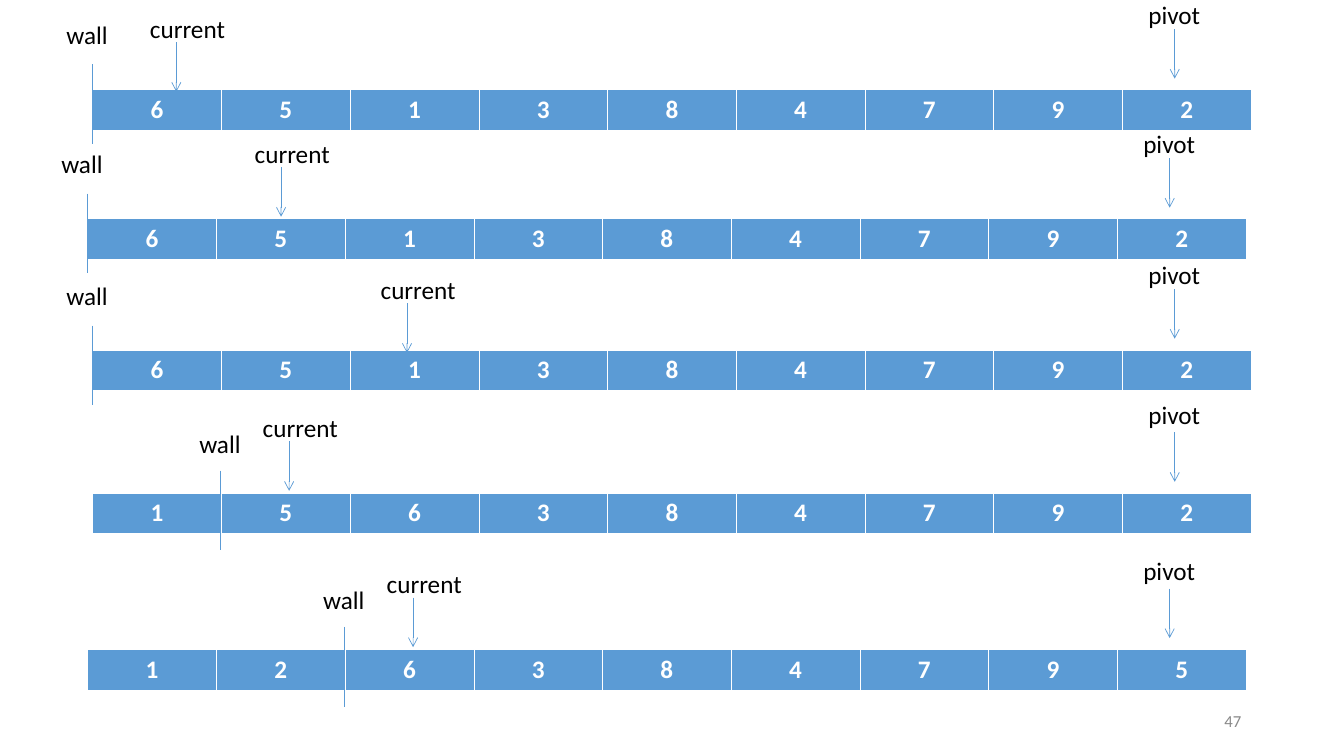
from dataclasses import dataclass

from lxml import etree
from pptx import Presentation
from pptx.dml.color import RGBColor
from pptx.enum import shapes, text
from pptx.oxml import ns
from pptx.util import Inches, Pt


@dataclass(frozen=True)
class Theme:
    font: str = "Calibri"
    blue: RGBColor = RGBColor(0x5B, 0x9B, 0xD5)
    white: RGBColor = RGBColor(0xFF, 0xFF, 0xFF)
    black: RGBColor = RGBColor(0, 0, 0)
    grey: RGBColor = RGBColor(0x89, 0x89, 0x89)
    body_size: int = 18
    number_size: int = 12
    line_width: float = 0.5
    thin_border: float = 0.45
    thick_border: float = 1.47


@dataclass(frozen=True)
class Step:
    digits: str
    array: tuple
    pivot_top: float
    wall_line: tuple
    wall_label: tuple
    current_label: tuple


THEME = Theme()
ARRAY_WIDTH, ARRAY_HEIGHT = 11.5, 0.41
LABEL_HEIGHT = 0.4
LABEL_WIDTHS = {"pivot": 0.76, "wall": 0.62, "current": 0.97}
ARROW_LENGTH = 0.49
ARROW_INSET = 0.36
CURRENT_ARROW_DROP = 0.34
PIVOT_SHIFT = 10.38
PIVOT_ARROW_RISE = 0.6
WALL_LENGTH = 0.79

STEPS = [
    Step("651384792", (0.92, 0.89), -0.06, (0.92, 0.64), (0.56, 0.14), (1.39, 0.08)),
    Step("651384792", (0.87, 2.17), 1.22, (0.87, 1.92), (0.51, 1.42), (2.43, 1.32)),
    Step("651384792", (0.92, 3.47), 2.52, (0.92, 3.23), (0.56, 2.73), (3.68, 2.67)),
    Step("156384792", (0.92, 4.89), 3.91, (2.19, 4.67), (1.88, 4.2), (2.51, 4.04)),
    Step("126384795", (0.87, 6.44), 5.46, (3.42, 6.22), (3.11, 5.75), (3.74, 5.59)),
]


def set_format(target, **formats):
    for attribute, value in formats.items():
        setattr(target, attribute, value)


def format_text(paragraph, content, color, size=THEME.body_size, bold=False, align=None):
    paragraph.text = content
    paragraph.alignment = align
    set_format(paragraph.font, name=THEME.font, size=Pt(size), bold=bold)
    paragraph.font.color.rgb = color


def add_label(slide, content, left, top):
    label = slide.shapes.add_textbox(
        Inches(left), Inches(top),
        Inches(LABEL_WIDTHS[content]), Inches(LABEL_HEIGHT))
    set_format(label.text_frame, word_wrap=False,
               auto_size=text.MSO_AUTO_SIZE.SHAPE_TO_FIT_TEXT)
    format_text(label.text_frame.paragraphs[0], content, THEME.black)


def add_vertical_line(slide, x, top, length, arrow=False):
    line = slide.shapes.add_connector(
        shapes.MSO_CONNECTOR.STRAIGHT,
        Inches(x), Inches(top), Inches(x), Inches(top + length))
    line.line.width = Pt(THEME.line_width)
    line.line.color.rgb = THEME.blue
    if arrow:
        etree.SubElement(line.line._get_or_add_ln(), ns.qn("a:tailEnd"), type="arrow")
    etree.SubElement(line._element.spPr, ns.qn("a:effectLst"))


def add_cell_borders(cell):
    properties = cell._tc.get_or_add_tcPr()
    for side in "LRTB":
        width = THEME.thick_border if side == "B" else THEME.thin_border
        border = etree.SubElement(properties, ns.qn(f"a:ln{side}"), w=str(Pt(width)))
        fill = etree.SubElement(border, ns.qn("a:solidFill"))
        etree.SubElement(fill, ns.qn("a:srgbClr"), val=str(THEME.white))


def add_array(slide, digits, left, top):
    array = slide.shapes.add_table(
        1, len(digits), Inches(left), Inches(top),
        Inches(ARRAY_WIDTH), Inches(ARRAY_HEIGHT)).table
    array.horz_banding = False
    for cell, digit in zip(array.rows[0].cells, digits):
        add_cell_borders(cell)
        cell.fill.solid()
        cell.fill.fore_color.rgb = THEME.blue
        format_text(cell.text_frame.paragraphs[0], digit, THEME.white,
                    bold=True, align=text.PP_ALIGN.CENTER)


def add_step(slide, step):
    left, top = step.array
    add_array(slide, step.digits, left, top)

    pivot_left = left + PIVOT_SHIFT
    add_vertical_line(slide, pivot_left + ARROW_INSET, top - PIVOT_ARROW_RISE,
                      ARROW_LENGTH, arrow=True)
    add_label(slide, "pivot", pivot_left, step.pivot_top)

    add_vertical_line(slide, *step.wall_line, WALL_LENGTH)
    add_label(slide, "wall", *step.wall_label)

    current_left, current_top = step.current_label
    add_vertical_line(slide, current_left + ARROW_INSET,
                      current_top + CURRENT_ARROW_DROP, ARROW_LENGTH, arrow=True)
    add_label(slide, "current", current_left, current_top)


def add_slide_number(slide, number):
    page = slide.shapes.add_textbox(Inches(9.42), Inches(6.95), Inches(3), Inches(0.4))
    set_format(page.text_frame, word_wrap=True,
               vertical_anchor=text.MSO_ANCHOR.MIDDLE)
    format_text(page.text_frame.paragraphs[0], number, THEME.grey,
                THEME.number_size, align=text.PP_ALIGN.RIGHT)


def main():
    presentation = Presentation()
    set_format(presentation, slide_width=Inches(13.34), slide_height=Inches(7.5))
    slide = presentation.slides.add_slide(presentation.slide_layouts[6])
    for step in STEPS:
        add_step(slide, step)
    add_slide_number(slide, "47")
    presentation.save("out.pptx")


if __name__ == "__main__":
    main()
